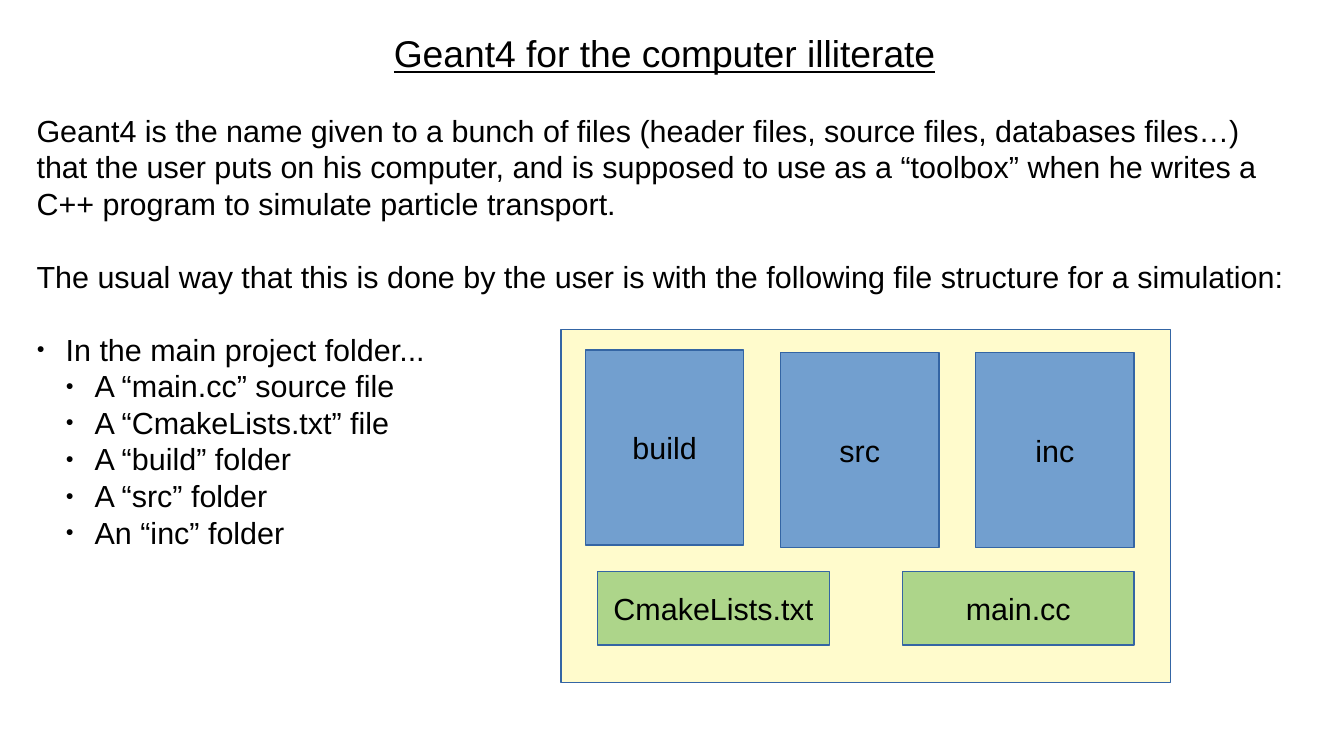
from dataclasses import dataclass

from lxml import etree
from pptx import Presentation
from pptx import util as u
from pptx.dml.color import RGBColor
from pptx.enum import shapes, text
from pptx.oxml import ns

FONT = "Arial"
BLACK = "000000"
EDGE = "3465A4"
PAPER = "FFFBCC"
FOLDER_BLUE = "729FCF"
FILE_GREEN = "ADD58A"
BODY_SIZE = 18
BLANK_LINE = 21.5
INDENT = 17.14


@dataclass
class Block:
    left: float
    top: float
    width: float
    height: float
    fill: str
    label: str = ""


@dataclass
class Line:
    wording: str
    level: int = 0
    bullet: bool = False
    gap: float = 0


BODY_LINES = [
    Line("Geant4 is the name given to a bunch of files (header files, source files, "
         "databases files…) that the user puts on his computer, and is supposed to use "
         "as a “toolbox” when he writes a C++ program to simulate particle transport."),
    Line("The usual way that this is done by the user is with the following file "
         "structure for a simulation:", gap=BLANK_LINE),
    Line("In the main project folder...", bullet=True, gap=BLANK_LINE),
    *[Line(item, level=1, bullet=True) for item in (
        "A “main.cc” source file",
        "A “CmakeLists.txt” file",
        "A “build” folder",
        "A “src” folder",
        "An “inc” folder",
    )],
]

BLOCKS = [
    Block(331.2, 194.4, 360, 208.8, PAPER),
    *[Block(left, top, 93.6, 115.2, FOLDER_BLUE, label) for left, top, label in (
        (460.8, 208.08, "src"), (576, 208.08, "inc"), (345.6, 206.64, "build"))],
    *[Block(left, 337.68, 136.8, 43.2, FILE_GREEN, label) for left, label in (
        (352.8, "CmakeLists.txt"), (532.8, "main.cc"))],
]


def colour(hex_value: str) -> RGBColor:
    return RGBColor.from_string(hex_value)


def format_runs(para, size: float, underline: bool = False) -> None:
    for span in para.runs:
        span.font.name = FONT
        span.font.size = u.Pt(size)
        span.font.underline = underline
        span.font.color.rgb = colour(BLACK)


def set_frame(frame, anchor, wrap: bool) -> None:
    frame.margin_left = frame.margin_right = u.Pt(7.2)
    frame.margin_top = frame.margin_bottom = u.Pt(3.6)
    frame.vertical_anchor = anchor
    frame.word_wrap = wrap
    frame.auto_size = text.MSO_AUTO_SIZE.NONE


def place(box, left: float, top: float, width: float, height: float) -> None:
    box.left, box.top = u.Pt(left), u.Pt(top)
    box.width, box.height = u.Pt(width), u.Pt(height)


def set_bullet(para, line: Line) -> None:
    props = para._p.get_or_add_pPr()
    if not line.bullet:
        props.set("marL", "0")
        props.set("indent", "0")
        etree.SubElement(props, ns.qn("a:buNone"))
        return
    props.set("marL", str(u.Pt(INDENT * (line.level + 1))))
    props.set("indent", str(-u.Pt(INDENT)))
    tint = etree.SubElement(props, ns.qn("a:buClr"))
    etree.SubElement(tint, ns.qn("a:srgbClr"), val=BLACK)
    etree.SubElement(props, ns.qn("a:buSzPct"), val="45000")
    etree.SubElement(props, ns.qn("a:buChar"), char="●")


def fill_title(box) -> None:
    place(box, 14.4, 14.4, 756, 34)
    set_frame(box.text_frame, text.MSO_ANCHOR.TOP, True)
    box.text_frame.text = "Geant4 for the computer illiterate"
    para = box.text_frame.paragraphs[0]
    para.alignment = text.PP_ALIGN.CENTER
    format_runs(para, 22, underline=True)


def fill_body(box) -> None:
    place(box, 14.4, 62.3, 756, 270)
    set_frame(box.text_frame, text.MSO_ANCHOR.TOP, True)
    box.text_frame.text = "\n".join(line.wording for line in BODY_LINES)
    for para, line in zip(box.text_frame.paragraphs, BODY_LINES):
        para.level = line.level
        para.alignment = text.PP_ALIGN.LEFT
        para.space_before = u.Pt(line.gap)
        para.space_after = u.Pt(0)
        set_bullet(para, line)
        format_runs(para, BODY_SIZE)


def draw_block(group, block: Block) -> None:
    box = group.shapes.add_shape(
        shapes.MSO_SHAPE.RECTANGLE, u.Pt(block.left), u.Pt(block.top),
        u.Pt(block.width), u.Pt(block.height))
    box.shadow.inherit = False
    box.fill.solid()
    box.fill.fore_color.rgb = colour(block.fill)
    box.line.color.rgb = colour(EDGE)
    box.line.width = u.Pt(0)
    if block.label:
        set_frame(box.text_frame, text.MSO_ANCHOR.MIDDLE, False)
        box.text_frame.text = block.label
        para = box.text_frame.paragraphs[0]
        para.alignment = text.PP_ALIGN.CENTER
        format_runs(para, BODY_SIZE)


def main() -> None:
    deck = Presentation()
    deck.slide_width, deck.slide_height = u.Pt(793.44), u.Pt(446.4)
    page = deck.slides.add_slide(deck.slide_layouts[1])

    # Title and explanation
    fill_title(page.shapes.title)
    fill_body(page.placeholders[1])

    # Project folder diagram
    group = page.shapes.add_group_shape()
    for block in BLOCKS:
        draw_block(group, block)

    deck.save("out.pptx")


if __name__ == "__main__":
    main()
